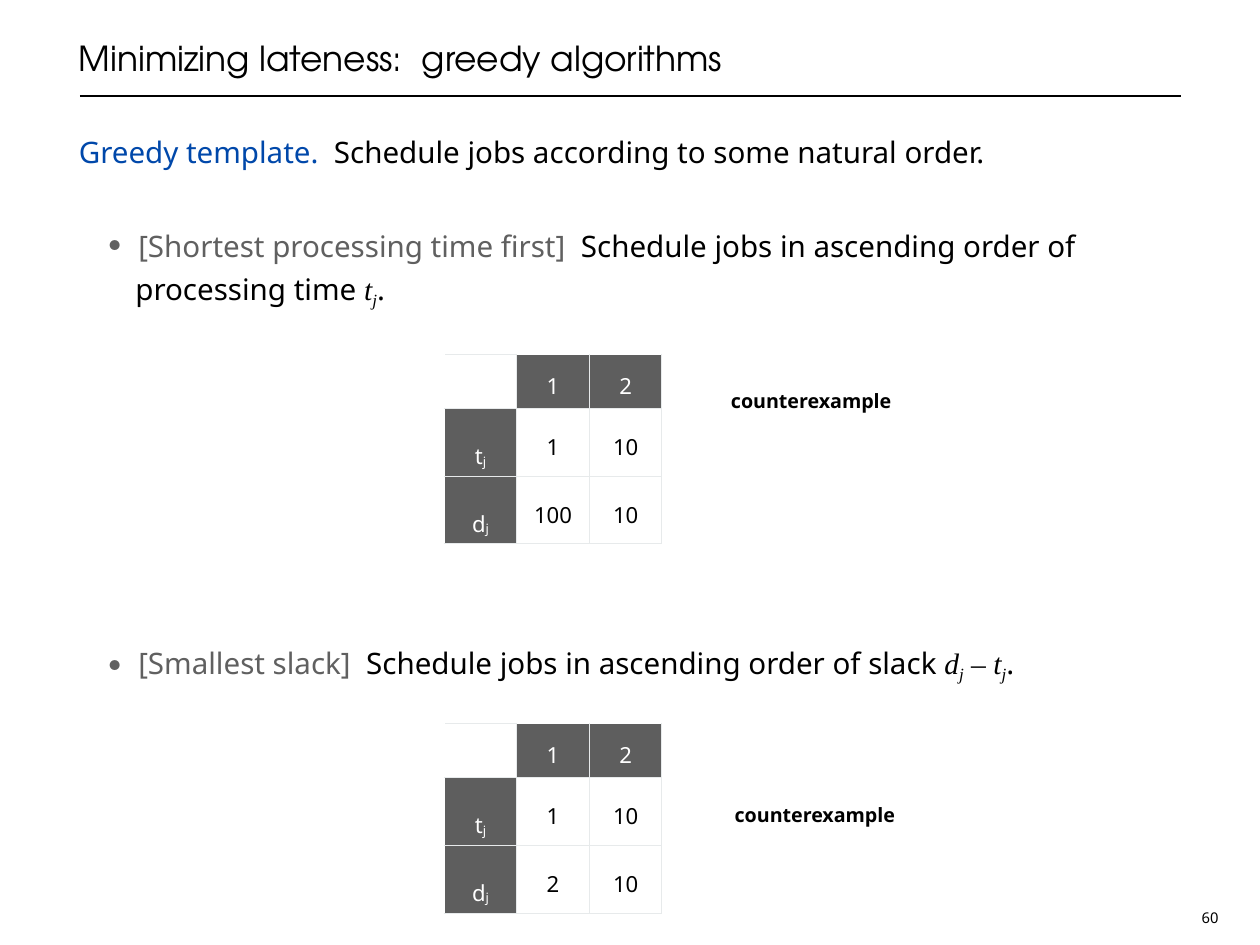
import dataclasses

import lxml.etree
import pptx
import pptx.dml.color
import pptx.enum.shapes
import pptx.enum.text
import pptx.oxml.ns
import pptx.util

Pt = pptx.util.Pt
CENTER = pptx.enum.text.PP_ALIGN.CENTER


@dataclasses.dataclass(frozen=True)
class Theme:
    """Colours, fonts and type sizes of the slide."""

    black: str = "000000"
    white: str = "FFFFFF"
    blue: str = "0048AA"
    gray: str = "606060"
    header: str = "5E5E5E"
    border: str = "E7EAEB"
    title_font: str = "TeX Gyre Adventor"
    body_font: str = "Noto Sans"
    math_font: str = "Times New Roman"
    title_size: int = 28
    body_size: int = 24
    table_size: int = 18
    label_size: int = 16
    number_size: int = 12
    leading: int = 38


THEME = Theme()


def rgb(color):
    """Turn a hex string into a colour."""
    return pptx.dml.color.RGBColor.from_string(color)


def add_child(parent, tag, **attributes):
    """Append a DrawingML element."""
    return lxml.etree.SubElement(parent, pptx.oxml.ns.qn(tag), **attributes)


def add_run(paragraph, text, size, color=THEME.black, font=THEME.body_font,
            bold=False, italic=False, baseline=0):
    """Add one formatted run, with its baseline shift in percent."""
    run = paragraph.add_run()
    run.text = text
    run.font.size = Pt(size)
    run.font.name = font
    run.font.bold = bold
    run.font.italic = italic
    run.font.color.rgb = rgb(color)
    if baseline:
        run.font._element.set("baseline", str(baseline * 1000))


def add_variable(paragraph, letter):
    """Add an italic variable with the subscript j."""
    for text, baseline in ((letter, 0), ("j", -20)):
        add_run(paragraph, text, THEME.body_size, font=THEME.math_font,
                italic=True, baseline=baseline)


def add_text_frame(slide, left, top, width, height, margin=0, wrap=True):
    """Add a text box and return its frame."""
    frame = slide.shapes.add_textbox(
        Pt(left), Pt(top), Pt(width), Pt(height)).text_frame
    frame.word_wrap = wrap
    frame.margin_left = frame.margin_right = Pt(margin)
    frame.margin_top = frame.margin_bottom = Pt(margin)
    if not wrap:
        frame.auto_size = pptx.enum.text.MSO_AUTO_SIZE.SHAPE_TO_FIT_TEXT
    return frame


def add_title(slide, text):
    """Add the title and the rule below it."""
    frame = add_text_frame(slide, 64, 0, 896, 64)
    frame.vertical_anchor = pptx.enum.text.MSO_ANCHOR.BOTTOM
    paragraph = frame.paragraphs[0]
    paragraph.line_spacing = Pt(THEME.leading)
    add_run(paragraph, text, THEME.title_size, font=THEME.title_font)
    rule = slide.shapes.add_connector(
        pptx.enum.shapes.MSO_CONNECTOR.STRAIGHT, Pt(65), Pt(78), Pt(960), Pt(78))
    rule.line.width = Pt(1)
    rule.line.color.rgb = rgb(THEME.black)
    add_child(rule._element.spPr, "a:effectLst")


def add_rule_item(frame, name, text, lines_before):
    """Add a bulleted greedy rule after a gap of whole lines."""
    paragraph = frame.add_paragraph()
    paragraph.line_spacing = Pt(THEME.leading)
    paragraph.space_before = Pt(lines_before * THEME.leading)
    properties = paragraph._p.get_or_add_pPr()
    properties.set("marL", str(Pt(46)))
    properties.set("indent", str(-Pt(36)))
    add_child(add_child(properties, "a:buClr"), "a:srgbClr", val=THEME.gray)
    add_child(properties, "a:buSzPct", val="160000")
    add_child(properties, "a:buFont", typeface=THEME.body_font)
    add_child(properties, "a:buChar", char="・")
    add_run(paragraph, name, THEME.body_size, THEME.gray)
    add_run(paragraph, text, THEME.body_size)
    return paragraph


def add_body(slide):
    """Add the greedy template and its two rules."""
    frame = add_text_frame(slide, 64, 100, 896, 644)
    template = frame.paragraphs[0]
    template.line_spacing = Pt(THEME.leading)
    add_run(template, "Greedy template.  ", THEME.body_size, THEME.blue)
    add_run(template, "Schedule jobs according to some natural order.", THEME.body_size)

    shortest = add_rule_item(
        frame, "[Shortest processing time first]",
        "  Schedule jobs in ascending order of processing time ", 1)
    add_variable(shortest, "t")
    add_run(shortest, ".", THEME.body_size)

    slack = add_rule_item(
        frame, "[Smallest slack]", "  Schedule jobs in ascending order of slack ", 7)
    add_variable(slack, "d")
    add_run(slack, " – ", THEME.body_size, font=THEME.math_font)
    add_variable(slack, "t")
    add_run(slack, ".", THEME.body_size)


def add_borders(cell, sides):
    """Draw thin borders on the given sides of a cell."""
    properties = cell._tc.get_or_add_tcPr()
    for side in sides:
        line = add_child(properties, f"a:ln{side}", w=str(Pt(1)))
        add_child(add_child(line, "a:solidFill"), "a:srgbClr", val=THEME.border)


def fill_cell(cell, text, is_header, is_variable):
    """Fill a cell and write its centred value or variable."""
    cell.fill.solid()
    cell.fill.fore_color.rgb = rgb(THEME.header if is_header else THEME.white)
    cell.vertical_anchor = pptx.enum.text.MSO_ANCHOR.MIDDLE
    cell.margin_left = cell.margin_right = Pt(4)
    cell.margin_top = cell.margin_bottom = Pt(4)
    paragraph = cell.text_frame.paragraphs[0]
    paragraph.alignment = CENTER
    paragraph.line_spacing = Pt(47) if is_variable else 1.3
    color = THEME.white if is_header else THEME.black
    add_run(paragraph, text, THEME.table_size, color)
    if is_variable:
        add_run(paragraph, "j", THEME.table_size, color, baseline=-6)


def add_job_table(slide, top, times, deadlines):
    """Add a table of processing times and deadlines per job."""
    rows = (("", "1", "2"), ("t", *times), ("d", *deadlines))
    table = slide.shapes.add_table(
        3, 3, Pt(361), Pt(top), Pt(177), Pt(154)).table
    table.first_row = table.horz_banding = False
    for column in table.columns:
        column.width = Pt(59)
    for row_index, row in enumerate(rows):
        table.rows[row_index].height = Pt(55 if row_index else 44)
        for column_index, text in enumerate(row):
            cell = table.cell(row_index, column_index)
            left = "L" if column_index else ""
            above = "" if row_index == 0 and column_index else "T"
            add_borders(cell, f"{left}R{above}B")
            if text:
                fill_cell(cell, text, row_index == 0 or column_index == 0,
                          column_index == 0)
            else:
                cell.fill.background()


def add_label(slide, left, top):
    """Add a counterexample label."""
    paragraph = add_text_frame(slide, left, top, 132.5, 18, wrap=False).paragraphs[0]
    paragraph.alignment = CENTER
    paragraph.line_spacing = 1.3
    add_run(paragraph, "counterexample", THEME.label_size, bold=True)


def add_page_number(slide, number):
    """Add the page number at the lower right."""
    paragraph = add_text_frame(
        slide, 968, 736, 31, 17.3, margin=2.9).paragraphs[0]
    paragraph.alignment = CENTER
    paragraph.line_spacing = Pt(14)
    add_run(paragraph, number, THEME.number_size)


def main():
    """Build the slide and save it."""
    presentation = pptx.Presentation()
    presentation.slide_width = Pt(1024)
    presentation.slide_height = Pt(768)
    slide = presentation.slides.add_slide(presentation.slide_layouts[6])
    add_title(slide, "Minimizing lateness:  greedy algorithms")
    add_body(slide)
    add_label(slide, 593, 310)
    add_job_table(slide, 288, ("1", "10"), ("100", "10"))
    add_label(slide, 596, 646.5)
    add_job_table(slide, 588, ("1", "10"), ("2", "10"))
    add_page_number(slide, "60")
    presentation.save("out.pptx")


if __name__ == "__main__":
    main()
